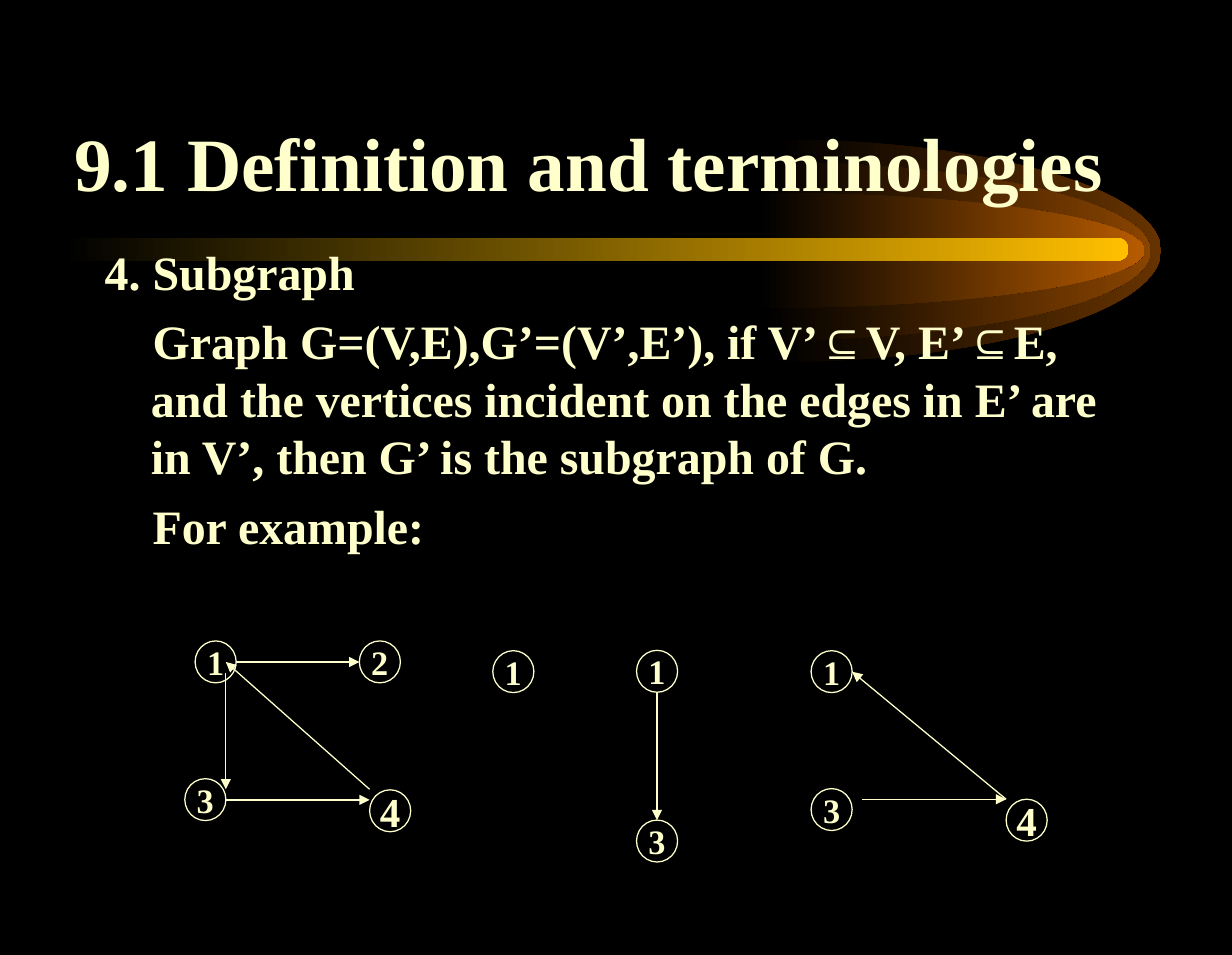
from typing import NamedTuple

from lxml.etree import SubElement
from pptx import Presentation
from pptx.dml.color import RGBColor
from pptx.enum.shapes import MSO_CONNECTOR as Connector, MSO_SHAPE as Shape
from pptx.enum.text import MSO_ANCHOR as Anchor, MSO_AUTO_SIZE as AutoSize, PP_ALIGN as Align
from pptx.oxml.ns import qn
from pptx.util import Pt

FONT = "Times New Roman"
CREAM = "FFFFCC"
BLACK = "000000"
NODE_WIDTH, NODE_HEIGHT = 24, 24.5
ARC = 0.55  # Bézier handle length for a quarter ellipse


class Glow(NamedTuple):
    left: float
    top: float
    width: float
    height: float
    color: str


class Node(NamedTuple):
    label: str
    left: float
    top: float
    size: float = 20


class Edge(NamedTuple):
    x1: float
    y1: float
    x2: float
    y2: float


class Graph(NamedTuple):
    nodes: list[Node]
    edges: list[Edge]


GLOWS = [
    Glow(453, 81.5, 225.5, 130, "663300"),
    Glow(447, 94.5, 225.5, 104.5, "894400"),
    Glow(443.5, 112.5, 225.5, 67.5, "B75B00"),
]

GRAPHS = [
    Graph([Node("1", 114, 374.5), Node("3", 108, 455),
           Node("4", 216, 461.5, 24), Node("2", 210, 374.5)],
          [Edge(138, 386.8, 210, 386.8), Edge(132, 393, 132, 461.2),
           Edge(132, 467.4, 216, 467.4), Edge(216, 461.2, 132, 386.8)]),
    Graph([Node("1", 288, 380.2)], []),
    Graph([Node("1", 372, 380), Node("3", 372, 479.2)],
          [Edge(384, 404.5, 384, 479.2)]),
    Graph([Node("3", 474, 460.8), Node("1", 474, 380.2), Node("4", 588, 467, 24)],
          [Edge(504, 467, 588, 467), Edge(588, 467, 498, 392.5)]),
]

# Each paragraph: first-line indent in points, then (text, font) runs
BODY = [
    (-27, [("4. Subgraph", FONT)]),
    (1, [("Graph G=(V,E),G’=(V’,E’), if V’", FONT), ("⊆", "Arial"),
         ("V, E’", FONT), ("⊆", "Arial"),
         ("E, and the vertices incident on the edges in E’ are in V’, "
          "then G’ is the subgraph of G.", FONT)]),
    (1, [("For example:", FONT)]),
]


def rgb(color: str) -> RGBColor:
    return RGBColor.from_string(color)


def place(shape, left: float, top: float, width: float, height: float) -> None:
    shape.left, shape.top = Pt(left), Pt(top)
    shape.width, shape.height = Pt(width), Pt(height)


def style_font(font, size: float) -> None:
    font.size = Pt(size)
    font.bold = True
    font.color.rgb = rgb(CREAM)


def fade_in(shape, color: str) -> None:
    """Fill from black on the left to the colour on the right."""
    shape.shadow.inherit = False
    shape.line.fill.background()
    shape.fill.gradient()
    shape.fill.gradient_angle = 0
    for stop, position, stop_color in zip(shape.fill.gradient_stops, (0, 1), (BLACK, color)):
        stop.position = position
        stop.color.rgb = rgb(stop_color)


def draw_glow(slide, glow: Glow) -> None:
    """Draw the right half of an ellipse as two Bézier quarters."""
    width, height = Pt(glow.width), Pt(glow.height)
    radius = height / 2
    left, top = Pt(glow.left), Pt(glow.top)
    builder = slide.shapes.build_freeform(left, top)
    builder.add_line_segments([(left + width, top + int(radius)), (left, top + height)])
    shape = builder.convert_to_shape()
    handles = [
        [(width * ARC, 0), (width, radius * (1 - ARC))],
        [(width, radius * (1 + ARC)), (width * ARC, height)],
    ]
    for segment, points in zip(list(shape._element.iter(qn("a:lnTo"))), handles):
        segment.tag = qn("a:cubicBezTo")
        end = segment[0]
        for x, y in points:
            SubElement(segment, qn("a:pt"), x=str(int(x)), y=str(int(y)))
        segment.append(end)
    fade_in(shape, glow.color)


def draw_node(slide, node: Node) -> None:
    shape = slide.shapes.add_shape(Shape.OVAL, Pt(node.left), Pt(node.top),
                                   Pt(NODE_WIDTH), Pt(NODE_HEIGHT))
    shape.shadow.inherit = False
    shape.fill.background()
    shape.line.color.rgb = rgb(CREAM)
    shape.line.width = Pt(0.75)
    frame = shape.text_frame
    frame.word_wrap = False
    frame.vertical_anchor = Anchor.MIDDLE
    paragraph = frame.paragraphs[0]
    paragraph.text = node.label
    paragraph.alignment = Align.CENTER
    paragraph.font.name = FONT
    style_font(paragraph.font, node.size)


def draw_edge(slide, edge: Edge) -> None:
    line = slide.shapes.add_connector(Connector.STRAIGHT, *(Pt(value) for value in edge))
    line.line.color.rgb = rgb(CREAM)
    line.line.width = Pt(0.75)
    SubElement(line.line._get_or_add_ln(), qn("a:tailEnd"), type="triangle")
    SubElement(line._element.spPr, qn("a:effectLst"))


def write_title(title) -> None:
    place(title, 22.5, 31, 643.5, 93)
    frame = title.text_frame
    frame.auto_size = AutoSize.NONE
    frame.vertical_anchor = Anchor.BOTTOM
    paragraph = frame.paragraphs[0]
    paragraph.text = "9.1 Definition and terminologies"
    paragraph.alignment = Align.CENTER
    paragraph.font.name = FONT
    style_font(paragraph.font, 44)


def write_body(body) -> None:
    place(body, 54, 138, 612, 372)
    frame = body.text_frame
    frame.auto_size = AutoSize.NONE
    for index, (indent, runs) in enumerate(BODY):
        paragraph = frame.paragraphs[0] if index == 0 else frame.add_paragraph()
        properties = paragraph._p.get_or_add_pPr()
        properties.set("marL", str(Pt(27)))
        properties.set("indent", str(Pt(indent)))
        SubElement(properties, qn("a:buNone"))
        paragraph.space_before = Pt(7 if index else 0)
        style_font(paragraph.font, 28)
        for text, font_name in runs:
            run = paragraph.add_run()
            run.text = text
            run.font.name = font_name


def main() -> None:
    presentation = Presentation()
    presentation.slide_width, presentation.slide_height = Pt(720), Pt(558)
    slide = presentation.slides.add_slide(presentation.slide_layouts[1])
    slide.background.fill.solid()
    slide.background.fill.fore_color.rgb = rgb(BLACK)

    # Comet behind the title
    for glow in GLOWS:
        draw_glow(slide, glow)
    bar = slide.shapes.add_shape(Shape.ROUNDED_RECTANGLE, Pt(36), Pt(139), Pt(623.5), Pt(13.5))
    bar.adjustments[0] = 0.5
    fade_in(bar, "FFBF00")

    # Title and definition, in front of the comet
    title, body = slide.placeholders
    write_title(title)
    write_body(body)
    for placeholder in (title, body):
        placeholder.element.getparent().append(placeholder.element)

    # Example graph and its subgraphs
    for graph in GRAPHS:
        for edge in graph.edges:
            draw_edge(slide, edge)
        for node in graph.nodes:
            draw_node(slide, node)

    presentation.save("out.pptx")


if __name__ == "__main__":
    main()
